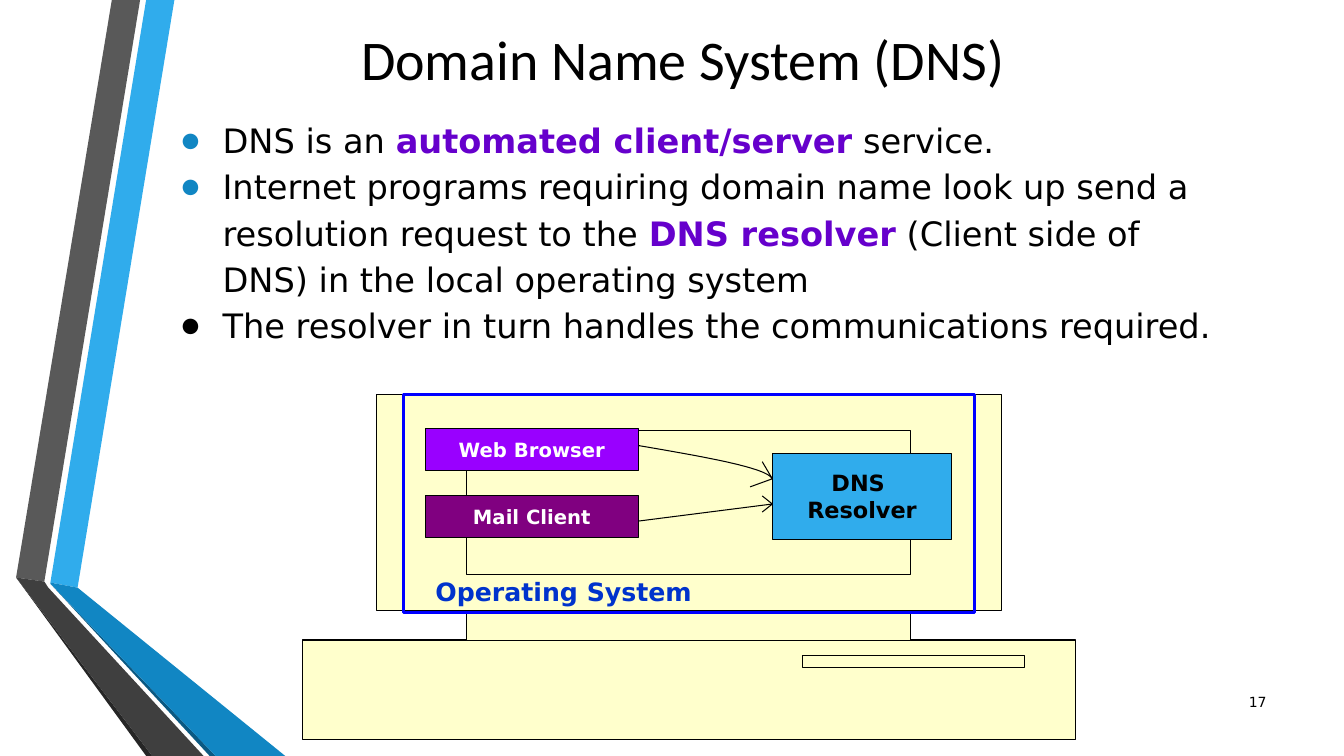
"""Build the Domain Name System (DNS) slide."""
from lxml import etree
from pptx import Presentation
from pptx.dml.color import RGBColor
from pptx.enum.shapes import MSO_CONNECTOR as CONN, MSO_SHAPE as SHAPE
from pptx.enum.text import MSO_ANCHOR as ANCHOR, PP_ALIGN as ALIGN
from pptx.oxml.ns import qn
from pptx.util import Inches, Pt

COLORS = {
    "black": "000000", "white": "FFFFFF", "gray": "595959", "dark_gray": "3F3F3F",
    "shadow_gray": "262626", "sky": "30ACEC", "blue": "1186C3", "navy": "0B5982",
    "cream": "FFFFCC", "violet": "9900FF", "purple": "800080", "accent": "6600CC",
    "frame": "0000FF", "label": "0033CC",
}


def write(tf, paragraphs, size=24, color="black", bold=False, font="DejaVu Sans",
          align=ALIGN.LEFT, anchor=ANCHOR.TOP, spacing=None, bullets=None):
    """Fill a text frame; each paragraph is a list of runs, and *runs are accented."""
    tf.word_wrap = True
    tf.vertical_anchor = anchor
    for i, runs in enumerate(paragraphs):
        p = tf.add_paragraph() if i else tf.paragraphs[0]
        p.alignment = align
        if spacing:
            p.line_spacing = spacing
        if bullets:
            pPr = p._p.get_or_add_pPr()
            pPr.set("marL", str(Inches(0.5)))
            pPr.set("indent", str(Inches(-0.42)))
            buClr = etree.SubElement(pPr, qn("a:buClr"))
            etree.SubElement(buClr, qn("a:srgbClr"), val=COLORS[bullets[i]])
            etree.SubElement(pPr, qn("a:buFont"), typeface="Calibri")
            etree.SubElement(pPr, qn("a:buChar"), char="●")
        for text in runs:
            accent = text.startswith("*")
            r = p.add_run()
            r.text = text.lstrip("*")
            r.font.name, r.font.size = font, Pt(size)
            r.font.bold = bold or accent
            r.font.color.rgb = RGBColor.from_string(COLORS["accent" if accent else color])


def paint(sp, fill=None, line=None, width=0.75):
    """Set the fill and outline of a shape and drop its shadow."""
    sp.shadow.inherit = False
    if fill:
        sp.fill.solid()
        sp.fill.fore_color.rgb = RGBColor.from_string(COLORS[fill])
    else:
        sp.fill.background()
    if line:
        sp.line.color.rgb = RGBColor.from_string(COLORS[line])
        sp.line.width = Pt(width)
    else:
        sp.line.fill.background()


prs = Presentation()
prs.slide_width, prs.slide_height = Inches(13.33), Inches(7.5)
s = prs.slides.add_slide(prs.slide_layouts[5])

ribbons = [
    ("sky", [(0.5, 5.78), (0.77, 5.83), (1.73, 0), (1.45, 0)]),
    ("gray", [(1.39, 0), (1.11, 0), (0.16, 5.73), (0.44, 5.77)]),
    ("shadow_gray", [(0.16, 5.73), (1.45, 7.5), (1.51, 7.5)]),
    ("navy", [(0.5, 5.79), (2.08, 7.5), (2.14, 7.5)]),
    ("blue", [(0.5, 5.78), (0.5, 5.79), (2.14, 7.5), (2.83, 7.5), (0.77, 5.83)]),
    ("dark_gray", [(2.02, 7.5), (0.48, 5.83), (0.44, 5.77), (0.16, 5.73), (1.51, 7.5)]),
]
computer = [(9.03, 6.35), (9.03, 6.06), (9.93, 6.06), (9.93, 3.91), (3.73, 3.91),
            (3.73, 6.06), (4.63, 6.06), (4.63, 6.35), (3, 6.35), (3, 7.34),
            (10.67, 7.34), (10.67, 6.35)]
outlines = [(fill, None, points) for fill, points in ribbons]
outlines.append(("cream", "black", computer))
for fill, line, points in outlines:
    start, *rest = [(Inches(x), Inches(y)) for x, y in points]
    fb = s.shapes.build_freeform(*start)
    fb.add_line_segments(rest, close=True)
    paint(fb.convert_to_shape(), fill, line)

title = s.shapes.title
title.left, title.top, title.width, title.height = map(Inches, (1.05, 0.08, 11.44, 1))
write(title.text_frame, [["Domain Name System (DNS)"]], size=40, font="Calibri",
      align=ALIGN.CENTER, anchor=ANCHOR.MIDDLE)

body = s.shapes.add_textbox(*map(Inches, (1.61, 1.08, 10.66, 2.25)))
write(body.text_frame, [
    ["DNS is an ", "*automated client/server", " service."],
    ["Internet programs requiring domain name look up send a resolution request to the ",
     "*DNS resolver", " (Client side of DNS) in the local operating system"],
    ["The resolver in turn handles the communications required."],
], spacing=1.15, bullets=["blue", "blue", "black"])

neck = (4.63, 6.06, 4.4, 0.29)
screen = (4.63, 4.27, 4.4, 1.43)
drive_slot = (7.96, 6.5, 2.2, 0.12)
for box in (neck, screen, drive_slot):
    paint(s.shapes.add_shape(SHAPE.RECTANGLE, *map(Inches, box)), line="black")

programs = [
    ([["Web Browser"]], (4.22, 4.25, 2.11, 0.42), "violet", "white", 14),
    ([["Mail Client"]], (4.22, 4.92, 2.11, 0.41), "purple", "white", 14),
    ([["DNS "], ["Resolver"]], (7.66, 4.5, 1.78, 0.85), "sky", "black", 16),
]
for text, box, fill, color, size in programs:
    sp = s.shapes.add_shape(SHAPE.RECTANGLE, *map(Inches, box))
    paint(sp, fill, "black")
    write(sp.text_frame, text, size=size, color=color, bold=True,
          align=ALIGN.CENTER, anchor=ANCHOR.MIDDLE)

frame = s.shapes.add_shape(SHAPE.RECTANGLE, *map(Inches, (4, 3.91, 5.67, 2.17)))
paint(frame, line="frame", width=2.25)

label = s.shapes.add_textbox(*map(Inches, (4.22, 5.67, 3.89, 0.4)))
write(label.text_frame, [["Operating System"]], size=18, color="label", bold=True)

request = [(6.33, 4.42), (6.97, 4.53), (7.61, 4.64), (7.66, 4.75)]
steps = 16
curve = []
for i in range(steps + 1):
    t = i / steps
    weights = ((1 - t) ** 3, 3 * t * (1 - t) ** 2, 3 * t * t * (1 - t), t ** 3)
    curve.append([Inches(sum(w * pt[axis] for w, pt in zip(weights, request)))
                  for axis in (0, 1)])
fb = s.shapes.build_freeform(*curve[0])
fb.add_line_segments(curve[1:], close=False)
paint(fb.convert_to_shape(), line="black")

arrow_lines = [
    (6.33, 5.17, 7.66, 5), (7.56, 4.92, 7.66, 5), (7.56, 5.08, 7.66, 5),
    (7.56, 4.58, 7.66, 4.75), (7.44, 4.83, 7.66, 4.75),
]
for ends in arrow_lines:
    cx = s.shapes.add_connector(CONN.STRAIGHT, *map(Inches, ends))
    cx.line.color.rgb = RGBColor.from_string(COLORS["black"])
    cx.line.width = Pt(0.75)
    etree.SubElement(cx._element.spPr, qn("a:effectLst"))

number = s.shapes.add_textbox(*map(Inches, (9.55, 6.83, 3.11, 0.5)))
write(number.text_frame, [["17"]], size=10, align=ALIGN.RIGHT)

prs.save("out.pptx")
